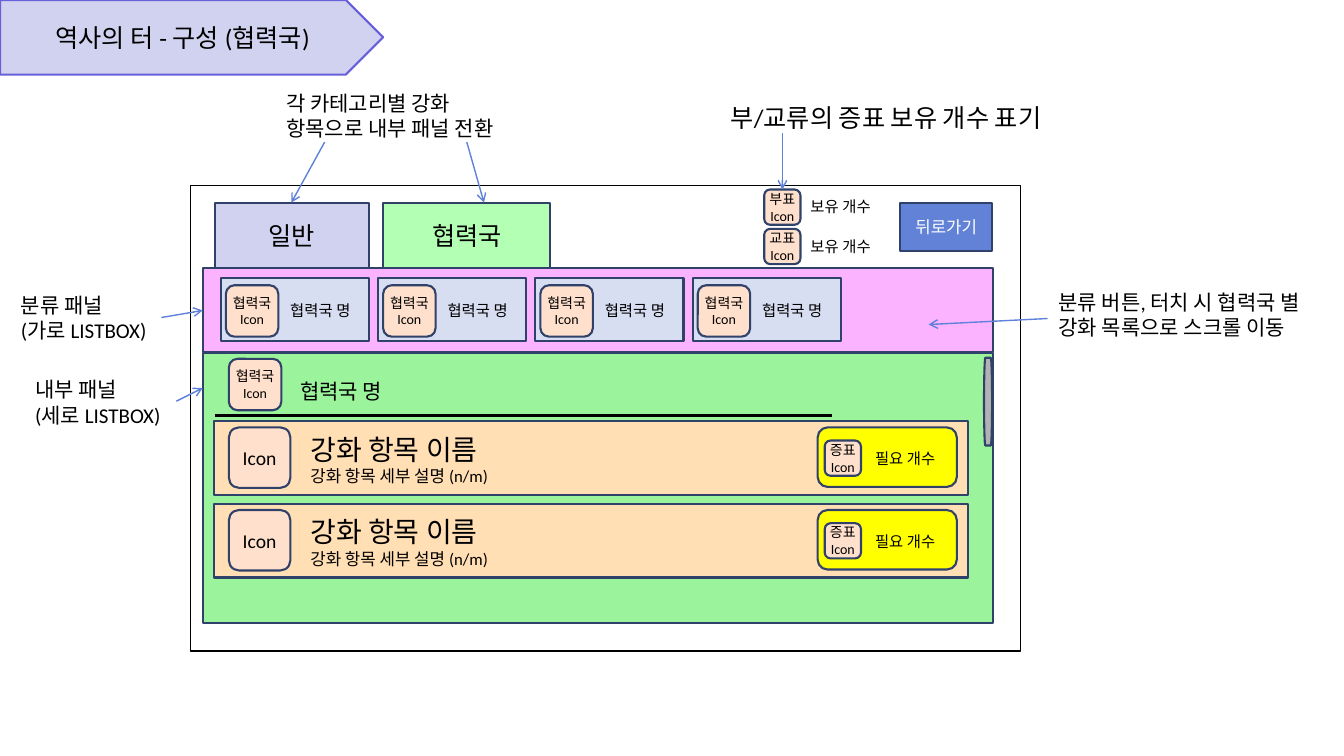
from lxml import etree
from pptx import Presentation
from pptx.dml.color import RGBColor
from pptx.enum import shapes, text
from pptx.oxml import ns
from pptx.util import Inches, Pt

RECT = shapes.MSO_SHAPE.RECTANGLE
ROUND = shapes.MSO_SHAPE.FLOWCHART_ALTERNATE_PROCESS
ARROW = shapes.MSO_SHAPE.PENTAGON
BAR = shapes.MSO_SHAPE.FLOWCHART_TERMINATOR


def color(code):
    return RGBColor.from_string(code)


class Mockup:
    """Style of the screen sketch and the slide it is drawn on."""
    font = "Calibri"
    ink = "000000"
    edge = "30416A"
    skin = "FFE0CC"
    lilac = "D1D1F0"
    link = "5E81D9"

    def __init__(self, slide):
        self.slide = slide
        self.shapes = slide.shapes

    def letter(self, frame, lines, sizes, ink=ink, align=None):
        """Fill a frame with one paragraph per line; sizes is one or one each."""
        if isinstance(sizes, int):
            sizes = [sizes] * len(lines)
        frame.word_wrap = True
        for i, (line, size) in enumerate(zip(lines, sizes)):
            para = frame.add_paragraph() if i else frame.paragraphs[0]
            para.text = line
            para.alignment = align
            para.font.name = self.font
            para.font.size = Pt(size)
            para.font.color.rgb = color(ink)

    def center(self, frame, lines, size, ink=ink):
        frame.margin_left = frame.margin_right = 0
        frame.margin_top = frame.margin_bottom = 0
        frame.vertical_anchor = text.MSO_ANCHOR.MIDDLE
        self.letter(frame, lines, size, ink, text.PP_ALIGN.CENTER)

    def title(self, words, x, y, w, h):
        title = self.shapes.title
        title.left, title.top = Inches(x), Inches(y)
        title.width, title.height = Inches(w), Inches(h)
        title.text_frame.auto_size = text.MSO_AUTO_SIZE.NONE
        self.center(title.text_frame, [words], 18)
        tree = title.element.getparent()
        tree.append(title.element)  # bring in front of the banner

    def box(self, x, y, w, h, fill=None, lines=(), size=10, kind=RECT,
            edge=edge, width=1.5, ink=ink):
        box = self.shapes.add_shape(kind, Inches(x), Inches(y), Inches(w), Inches(h))
        box.shadow.inherit = False
        if fill:
            box.fill.solid()
            box.fill.fore_color.rgb = color(fill)
        else:
            box.fill.background()
        box.line.color.rgb = color(edge)
        box.line.width = Pt(width)
        if lines:
            self.center(box.text_frame, lines, size, ink)

    def icon(self, x, y, w, h, *lines, size=10):
        self.box(x, y, w, h, self.skin, lines, size, ROUND)

    def label(self, x, y, w, h, lines, sizes):
        box = self.shapes.add_textbox(Inches(x), Inches(y), Inches(w), Inches(h))
        self.letter(box.text_frame, lines, sizes)
        box.text_frame.auto_size = text.MSO_AUTO_SIZE.SHAPE_TO_FIT_TEXT

    def line(self, x1, y1, x2, y2, ink=link, width=1, head=True):
        line = self.shapes.add_connector(
            shapes.MSO_CONNECTOR.STRAIGHT,
            Inches(x1), Inches(y1), Inches(x2), Inches(y2))
        line.line.color.rgb = color(ink)
        line.line.width = Pt(width)
        props = line.element.spPr
        if head:
            etree.SubElement(props.find(ns.qn("a:ln")), ns.qn("a:tailEnd"), type="arrow")
        etree.SubElement(props, ns.qn("a:effectLst"))

    def item(self, y):
        """Upgrade row with its icon, name and price."""
        self.box(2.12, y, 7.48, 0.73, "FFDFB3")
        self.icon(2.27, y + 0.06, 0.61, 0.6, "Icon", size=14)
        self.label(2.98, y + 0.06, 2.47, 0.63,
                   ["강화 항목 이름", "강화 항목 세부 설명 (n/m)"], [20, 12])
        self.box(8.11, y + 0.06, 1.38, 0.59, "FFFF00", kind=ROUND)
        self.icon(8.18, y + 0.19, 0.36, 0.35, "증표", "Icon")
        self.label(8.58, y + 0.23, 0.88, 0.29, ["필요 개수"], 11)

    def card(self, x, y):
        """Category button for one partner country."""
        self.box(x, y, 1.47, 0.62, "D7DEF1")
        self.icon(x + 0.05, y + 0.07, 0.52, 0.51, "협력국", "Icon")
        self.label(x + 0.59, y + 0.18, 0.88, 0.28, ["협력국 명"], 11)

    def token(self, y, name):
        """Owned token count."""
        self.icon(7.58, y, 0.36, 0.35, name, "Icon")
        self.label(7.94, y + 0.03, 0.88, 0.28, ["보유 개수"], 11)


def main():
    deck = Presentation()
    deck.slide_width, deck.slide_height = Inches(13.33), Inches(7.5)
    page = Mockup(deck.slides.add_slide(deck.slide_layouts[5]))

    page.box(1.89, 1.84, 8.23, 4.62, edge="000000", width=1)
    page.box(0, 0, 3.8, 0.74, page.lilac, kind=ARROW, edge="6660DA")
    page.title("역사의 터 - 구성 (협력국)", 0, 0, 3.62, 0.74)

    # Panels, tabs and back button
    page.box(2.01, 3.5, 7.84, 2.68, "9BF39B")
    page.box(2.13, 2.01, 1.53, 0.65, page.lilac, ["일반"], 18)
    page.box(3.8, 2.01, 1.66, 0.65, "B3FFB3", ["협력국"], 18)
    page.box(8.93, 2.01, 0.91, 0.48, "6182D6", ["뒤로가기"], 12, ink="FFFFFF")
    page.box(2.01, 2.66, 7.84, 0.83, "FCB3FF")

    for i in range(4):
        page.card(2.19 + 1.56 * i, 2.76)
    for y in (4.18, 5):
        page.item(y)
    for y, name in ((1.88, "부표"), (2.27, "교표")):
        page.token(y, name)

    # Heading of the inner panel and scroll bar
    page.icon(2.27, 3.56, 0.52, 0.51, "협력국", "Icon")
    page.label(2.88, 3.71, 1.61, 0.34, ["협력국 명"], 15)
    page.line(2.13, 4.12, 8.25, 4.12, page.ink, 2.25, head=False)
    page.box(9.76, 3.55, 0.08, 0.87, "B2B2B2", kind=BAR)

    # Callouts
    notes = (
        (2.74, 0.85, 2.47, 0.59, ["각 카테고리별 강화", "항목으로 내부 패널 전환"], 15),
        (7.15, 0.97, 3.56, 0.4, ["부/교류의 증표 보유 개수 표기"], 18),
        (10.4, 2.82, 2.92, 0.6, ["분류 버튼, 터치 시 협력국 별 강화 목록으로 스크롤 이동"], 15),
        (0.11, 2.85, 1.5, 0.6, ["분류 패널", "(가로 LISTBOX)"], 15),
        (0.25, 3.69, 1.5, 0.6, ["내부 패널", "(세로 LISTBOX)"], 15),
    )
    for note in notes:
        page.label(*note)
    arrows = (
        (3.22, 1.41, 2.89, 2.01),
        (4.63, 1.41, 4.8, 2.01),
        (7.76, 1.32, 7.76, 1.88),
        (10.39, 3.16, 9.21, 3.22),
        (1.6, 3.15, 2.01, 3.08),
        (1.75, 3.98, 2.01, 3.85),
    )
    for ends in arrows:
        page.line(*ends)

    deck.save("out.pptx")


if __name__ == "__main__":
    main()
